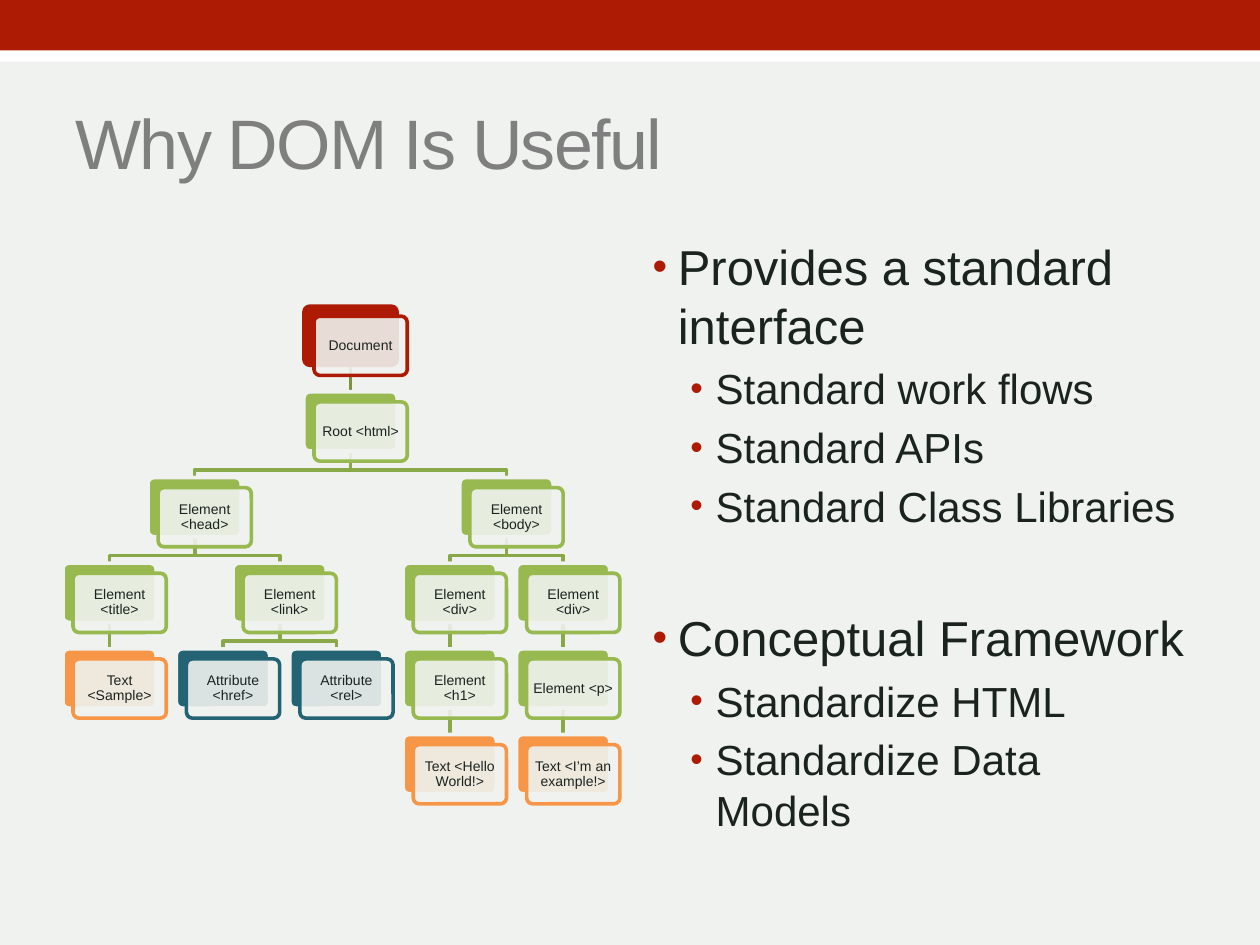
from dataclasses import dataclass, field

from lxml import etree
from pptx import Presentation
from pptx.dml.color import RGBColor
from pptx.enum.shapes import MSO_CONNECTOR, MSO_SHAPE
from pptx.enum.text import MSO_ANCHOR, MSO_AUTO_SIZE, PP_ALIGN
from pptx.oxml.ns import qn
from pptx.util import Inches, Pt

RECT, ROUNDED = MSO_SHAPE.RECTANGLE, MSO_SHAPE.ROUNDED_RECTANGLE
STRAIGHT = MSO_CONNECTOR.STRAIGHT
LEFT, CENTER = PP_ALIGN.LEFT, PP_ALIGN.CENTER
TOP, MIDDLE = MSO_ANCHOR.TOP, MSO_ANCHOR.MIDDLE
NO_FIT = MSO_AUTO_SIZE.NONE

PAPER = RGBColor(0xEF, 0xF2, 0xEE)
WHITE = RGBColor(0xFF, 0xFF, 0xFF)
RED = RGBColor(0xAE, 0x1B, 0x04)
GREY = RGBColor(0x7F, 0x7F, 0x7F)
INK = RGBColor(0x1A, 0x23, 0x20)
GREEN = RGBColor(0x97, 0xB9, 0x4F)
ORANGE = RGBColor(0xF7, 0x96, 0x46)
TEAL = RGBColor(0x24, 0x63, 0x74)
ROOT_LINK = RGBColor(0x79, 0x94, 0x3F)
LINK = RGBColor(0x89, 0xA8, 0x48)

FONT = "Arial"
LINE_WIDTH = Pt(2.08)
NODE_W, NODE_H = Inches(0.74), Inches(0.47)
COLUMN_STEP, ROW_STEP = Inches(0.9), Inches(0.68)
PLATE_OFFSET = Inches(0.08)
BEND_DROP = Inches(0.15)


@dataclass
class Node:
    label: str
    color: RGBColor
    children: list = field(default_factory=list)
    x: int = 0
    y: int = 0


DOM = Node("Document", RED, [
    Node("Root <html>", GREEN, [
        Node("Element <head>", GREEN, [
            Node("Element <title>", GREEN, [Node("Text <Sample>", ORANGE)]),
            Node("Element <link>", GREEN, [
                Node("Attribute <href>", TEAL),
                Node("Attribute <rel>", TEAL),
            ]),
        ]),
        Node("Element <body>", GREEN, [
            Node("Element <div>", GREEN, [
                Node("Element <h1>", GREEN, [Node("Text <Hello World!>", ORANGE)]),
            ]),
            Node("Element <div>", GREEN, [
                Node("Element <p>", GREEN, [Node("Text <I’m an example!>", ORANGE)]),
            ]),
        ]),
    ]),
])

REASONS = [
    ("Provides a standard interface",
     ["Standard work flows", "Standard APIs", "Standard Class Libraries"]),
    ("Conceptual Framework", ["Standardize HTML", "Standardize Data Models"]),
]


def add_text(paragraph, text, size, color):
    run = paragraph.add_run()
    run.text = text
    run.font.name, run.font.size = FONT, Pt(size)
    run.font.color.rgb = color
    return run


def place(shape, box):
    shape.left, shape.top, shape.width, shape.height = box


def add_band(slide, box, color):
    band = slide.shapes.add_shape(RECT, *box)
    band.shadow.inherit = False
    band.fill.solid()
    band.fill.fore_color.rgb = color
    band.line.fill.background()


def add_title(slide, box):
    title = slide.shapes.title
    place(title, box)
    frame = title.text_frame
    frame.auto_size = NO_FIT
    frame.vertical_anchor = MIDDLE
    paragraph = frame.paragraphs[0]
    paragraph.alignment = LEFT
    run = add_text(paragraph, "Why DOM Is Useful", 40, GREY)
    run.font._element.set("spc", "-100")


def set_bullet(paragraph, indent):
    props = paragraph._p.get_or_add_pPr()
    props.set("marL", str(indent))
    props.set("indent", str(-Inches(0.2)))
    color = etree.SubElement(props, qn("a:buClr"))
    etree.SubElement(color, qn("a:srgbClr")).set("val", str(RED))
    etree.SubElement(props, qn("a:buSzPct")).set("val", "85000")
    etree.SubElement(props, qn("a:buFont")).set("typeface", FONT)
    etree.SubElement(props, qn("a:buChar")).set("char", "•")


def add_reasons(slide, box):
    body = slide.placeholders[1]
    place(body, box)
    frame = body.text_frame
    frame.auto_size = NO_FIT
    frame.vertical_anchor = TOP
    for index, (heading, points) in enumerate(REASONS):
        paragraph = frame.add_paragraph() if index else frame.paragraphs[0]
        if index:
            paragraph.space_before = Pt(44)
        set_bullet(paragraph, Inches(0.2))
        add_text(paragraph, heading, 28, INK)
        for point in points:
            paragraph = frame.add_paragraph()
            paragraph.level = 1
            set_bullet(paragraph, Inches(0.5))
            add_text(paragraph, point, 24, INK)


def lay_out(node, left, top):
    """Place leaves one column apart, centre parents; return the next free column."""
    node.y = top
    if not node.children:
        node.x = left
        return left + COLUMN_STEP
    for child in node.children:
        left = lay_out(child, left, top + ROW_STEP)
    node.x = (node.children[0].x + node.children[-1].x) // 2
    return left


def add_link(slide, parent, child, color):
    start_x, end_x = parent.x + NODE_W // 2, child.x + NODE_W // 2
    start_y, end_y = parent.y + NODE_H, child.y
    if start_x == end_x:
        link = slide.shapes.add_connector(STRAIGHT, start_x, start_y, end_x, end_y)
        etree.SubElement(link._element.spPr, qn("a:effectLst"))
    else:
        bend_y = start_y + BEND_DROP
        outline = slide.shapes.build_freeform(start_x, start_y)
        outline.add_line_segments(
            [(start_x, bend_y), (end_x, bend_y), (end_x, end_y)], close=False)
        link = outline.convert_to_shape()
        link.shadow.inherit = False
        link.fill.background()
    link.line.color.rgb, link.line.width = color, LINE_WIDTH


def add_links(slide, node, color):
    for child in node.children:
        add_links(slide, child, LINK)
        add_link(slide, node, child, color)


def add_plate(slide, left, top, fill, line):
    plate = slide.shapes.add_shape(ROUNDED, left, top, NODE_W, NODE_H)
    plate.adjustments[0] = 0.1
    plate.shadow.inherit = False
    plate.fill.solid()
    plate.fill.fore_color.rgb = fill
    plate.line.color.rgb, plate.line.width = line, LINE_WIDTH
    return plate


def add_nodes(slide, node):
    add_plate(slide, node.x, node.y, node.color, RED if node is DOM else PAPER)
    front = add_plate(slide, node.x + PLATE_OFFSET, node.y + PLATE_OFFSET,
                      PAPER, node.color)
    fill_color = front._element.spPr.find(qn("a:solidFill"))[0]
    etree.SubElement(fill_color, qn("a:alpha")).set("val", "90000")
    frame = front.text_frame
    frame.word_wrap = True
    frame.vertical_anchor = MIDDLE
    frame.margin_left = frame.margin_right = Inches(0.03)
    frame.margin_top = frame.margin_bottom = Inches(0.03)
    paragraph = frame.paragraphs[0]
    paragraph.alignment, paragraph.line_spacing = CENTER, 0.9
    add_text(paragraph, node.label, 8, INK)
    for child in node.children:
        add_nodes(slide, child)


def add_dom_tree(slide, left, top):
    lay_out(DOM, left, top)
    add_links(slide, DOM, ROOT_LINK)
    add_nodes(slide, DOM)


def main():
    deck = Presentation()
    deck.slide_width, deck.slide_height = Inches(10), Inches(7.5)
    slide = deck.slides.add_slide(deck.slide_layouts[1])
    slide.background.fill.solid()
    slide.background.fill.fore_color.rgb = PAPER
    add_band(slide, (0, Inches(0.24), deck.slide_width, Inches(0.25)), WHITE)
    add_band(slide, (0, 0, deck.slide_width, Inches(0.4)), RED)
    add_title(slide, (Inches(0.5), Inches(0.58), Inches(9), Inches(1.08)))
    add_dom_tree(slide, Inches(0.5), Inches(2.43))
    add_reasons(slide, (Inches(5.08), Inches(1.83), Inches(4.42), Inches(5.16)))
    deck.save("out.pptx")


if __name__ == "__main__":
    main()
